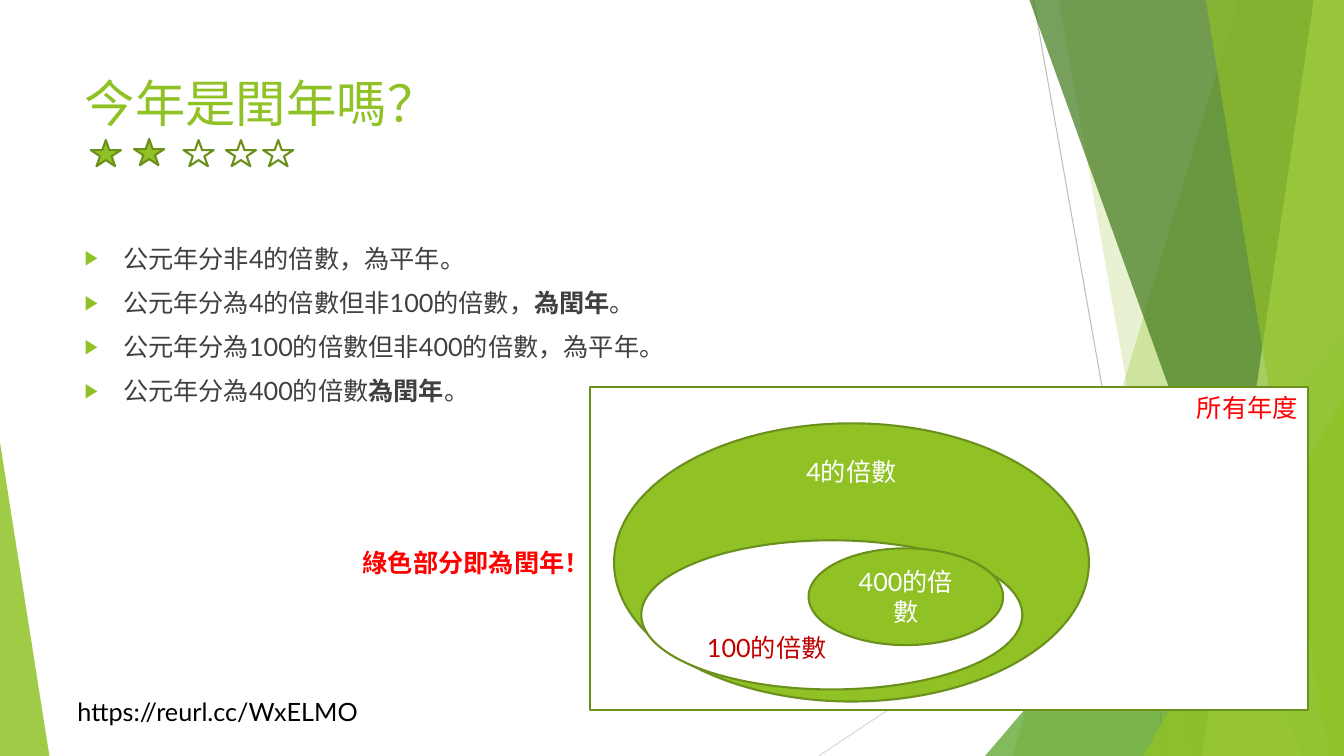
from dataclasses import dataclass

from lxml.etree import SubElement
from pptx import Presentation
from pptx.dml.color import RGBColor
from pptx.enum.shapes import MSO_CONNECTOR as Link, MSO_SHAPE as Kind
from pptx.enum.text import MSO_ANCHOR as Anchor, MSO_AUTO_SIZE as Fit, PP_ALIGN as Align
from pptx.oxml.ns import qn
from pptx.util import Inches, Pt


@dataclass(frozen=True)
class Theme:
    font: str = "Lato"
    green: str = "90C226"
    outline: str = "6B901C"
    leaf: str = "54A021"
    forest: str = "3F7819"
    lime: str = "C0E474"
    white: str = "FFFFFF"
    black: str = "000000"
    gray: str = "404040"
    red: str = "FF0000"
    crimson: str = "C00000"
    title_size: int = 36
    text_size: int = 18
    bullet_gap: int = 10
    outline_width: float = 1.5
    ray_width: float = 0.75


THEME = Theme()
WIDTH, HEIGHT = 13.33, 7.5
BULLETS = [
    [("公元年分非4的倍數，為平年。", False)],
    [("公元年分為4的倍數但非100的倍數，", False), ("為閏年", True), ("。", False)],
    [("公元年分為100的倍數但非400的倍數，為平年。", False)],
    [("公元年分為400的倍數", False), ("為閏年", True), ("。", False)],
]
RAYS = [(10.25, 0, 11.58, HEIGHT, "BFBFBF"), (WIDTH, 4.03, 8.12, HEIGHT, "D9D9D9")]
BANDS_BACK = [(12.28, 10.04, THEME.green, 30), (10.5, 11.83, THEME.green, 20)]
BANDS_FRONT = [(10.21, 12.91, THEME.forest, 70), (13.03, 11.92, THEME.lime, 70),
               (11.96, 13.18, THEME.green, 65)]
STARS = [(0.9, 1.39, True), (1.33, 1.38, True), (1.82, 1.39, False),
         (2.24, 1.39, False), (2.61, 1.39, False)]


def apply(target, values):
    for name, value in values.items():
        setattr(target, name, value)


def inches(*lengths):
    return [Inches(length) for length in lengths]


def place(shape, *area):
    apply(shape, dict(zip(("left", "top", "width", "height"), inches(*area))))


def style(font, color, size=THEME.text_size, bold=False):
    apply(font, {"name": THEME.font, "size": Pt(size), "bold": bold})
    font.color.rgb = RGBColor.from_string(color)


def write(frame, text, color, align=Align.LEFT, size=THEME.text_size, bold=False, **layout):
    apply(frame, layout)
    para = frame.paragraphs[0]
    para.alignment = align
    span = para.add_run()
    span.text = text
    style(span.font, color, size, bold)


def paint(shape, fill=None, line=None, opacity=100):
    shape.shadow.inherit = False
    if fill:
        shape.fill.solid()
        shape.fill.fore_color.rgb = RGBColor.from_string(fill)
        if opacity < 100:
            tint = shape.fill._xPr.find(qn("a:solidFill"))[0]
            SubElement(tint, qn("a:alpha"), val=str(opacity * 1000))
    else:
        shape.fill.background()
    if line:
        shape.line.color.rgb = RGBColor.from_string(line)
        shape.line.width = Pt(THEME.outline_width)
    else:
        shape.line.fill.background()


def add_ray(page, x1, y1, x2, y2, color):
    ray = page.shapes.add_connector(Link.STRAIGHT, *inches(x1, y1, x2, y2))
    ray.line.color.rgb = RGBColor.from_string(color)
    ray.line.width = Pt(THEME.ray_width)
    SubElement(ray.element.spPr, qn("a:effectLst"))


def add_band(page, top_x, bottom_x, color, opacity):
    outline = page.shapes.build_freeform(*inches(top_x, 0))
    corners = [(WIDTH, 0), (WIDTH, HEIGHT), (bottom_x, HEIGHT)]
    outline.add_line_segments([inches(*corner) for corner in corners], close=True)
    paint(outline.convert_to_shape(), color, opacity=opacity)


def add_wedge(page, left, top, width, tip, color, opacity):
    wedge = page.shapes.add_shape(Kind.ISOSCELES_TRIANGLE,
                                  *inches(left, top, width, HEIGHT - top))
    wedge.adjustments[0] = tip
    paint(wedge, color, opacity=opacity)


def add_outlined(page, kind, area, fill):
    shape = page.shapes.add_shape(kind, *inches(*area))
    paint(shape, fill, THEME.outline)
    return shape


def add_set(page, kind, area, fill, text, color, **layout):
    shape = add_outlined(page, kind, area, fill)
    write(shape.text_frame, text, color, word_wrap=True, **layout)


def add_label(page, area, text, color, bold=False):
    box = page.shapes.add_textbox(*inches(*area))
    write(box.text_frame, text, color, bold=bold, word_wrap=False,
          auto_size=Fit.SHAPE_TO_FIT_TEXT)


def add_bullet(para):
    props = para._p.get_or_add_pPr()
    apply_indent = {"marL": Inches(0.38), "indent": Inches(-0.38)}
    for name, value in apply_indent.items():
        props.set(name, str(value))
    SubElement(SubElement(props, qn("a:buClr")), qn("a:srgbClr"), val=THEME.green)
    SubElement(props, qn("a:buSzPct"), val="80000")
    SubElement(props, qn("a:buChar"), char="▶")


def fill_list(frame):
    apply(frame, {"word_wrap": True, "vertical_anchor": Anchor.TOP, "auto_size": Fit.NONE})
    for index, parts in enumerate(BULLETS):
        para = frame.add_paragraph() if index else frame.paragraphs[0]
        add_bullet(para)
        para.space_before = Pt(THEME.bullet_gap if index else 0)
        for text, bold in parts:
            span = para.add_run()
            span.text = text
            style(span.font, THEME.gray, bold=bold)


def add_backdrop(page):
    for ray in RAYS:
        add_ray(page, *ray)
    for band in BANDS_BACK:
        add_band(page, *band)
    add_wedge(page, 9.77, 3.33, 3.56, 1, THEME.leaf, 72)
    for band in BANDS_FRONT:
        add_band(page, *band)
    add_wedge(page, 11.34, 3.93, 1.99, 1, THEME.green, 80)
    add_wedge(page, 0, 4.39, 0.49, 0, THEME.green, 85)


def add_heading_and_list(page):
    title, body = page.shapes.title, page.placeholders[1]
    for holder in (title, body):
        holder.element.getparent().append(holder.element)
    place(title, 0.74, 0.67, 9.4, 1.44)
    write(title.text_frame, "今年是閏年嗎？", THEME.green, size=THEME.title_size,
          vertical_anchor=Anchor.TOP, auto_size=Fit.NONE)
    place(body, 0.74, 2.36, 9.4, 4.24)
    fill_list(body.text_frame)


def add_venn(page):
    add_set(page, Kind.RECTANGLE, (5.85, 3.84, 7.12, 3.2), THEME.white,
            "所有年度", THEME.red, align=Align.RIGHT, vertical_anchor=Anchor.TOP)
    add_set(page, Kind.OVAL, (6.09, 4.2, 4.71, 2.76), THEME.green,
            "4的倍數", THEME.white, align=Align.CENTER, vertical_anchor=Anchor.MIDDLE,
            margin_top=0, margin_bottom=Inches(1.8))
    add_set(page, Kind.OVAL, (6.36, 5.36, 3.78, 1.48), THEME.white,
            "100的倍數", THEME.crimson, vertical_anchor=Anchor.BOTTOM)
    add_set(page, Kind.OVAL, (8.02, 5.44, 1.93, 0.96), THEME.green,
            "400的倍數", THEME.white, align=Align.CENTER, vertical_anchor=Anchor.MIDDLE)


def main():
    deck = Presentation()
    apply(deck, {"slide_width": Inches(WIDTH), "slide_height": Inches(HEIGHT)})
    page = deck.slides.add_slide(deck.slide_layouts[1])
    add_backdrop(page)
    add_label(page, (0.67, 6.86, 3.12, 0.4), "https://reurl.cc/WxELMO", THEME.black)
    add_heading_and_list(page)
    for left, top, filled in STARS:
        add_outlined(page, Kind.STAR_5_POINT, (left, top, 0.3, 0.26),
                     THEME.green if filled else None)
    add_venn(page)
    add_label(page, (3.5, 5.38, 2.47, 0.4), "綠色部分即為閏年！", THEME.red, bold=True)
    deck.save("out.pptx")


if __name__ == "__main__":
    main()
